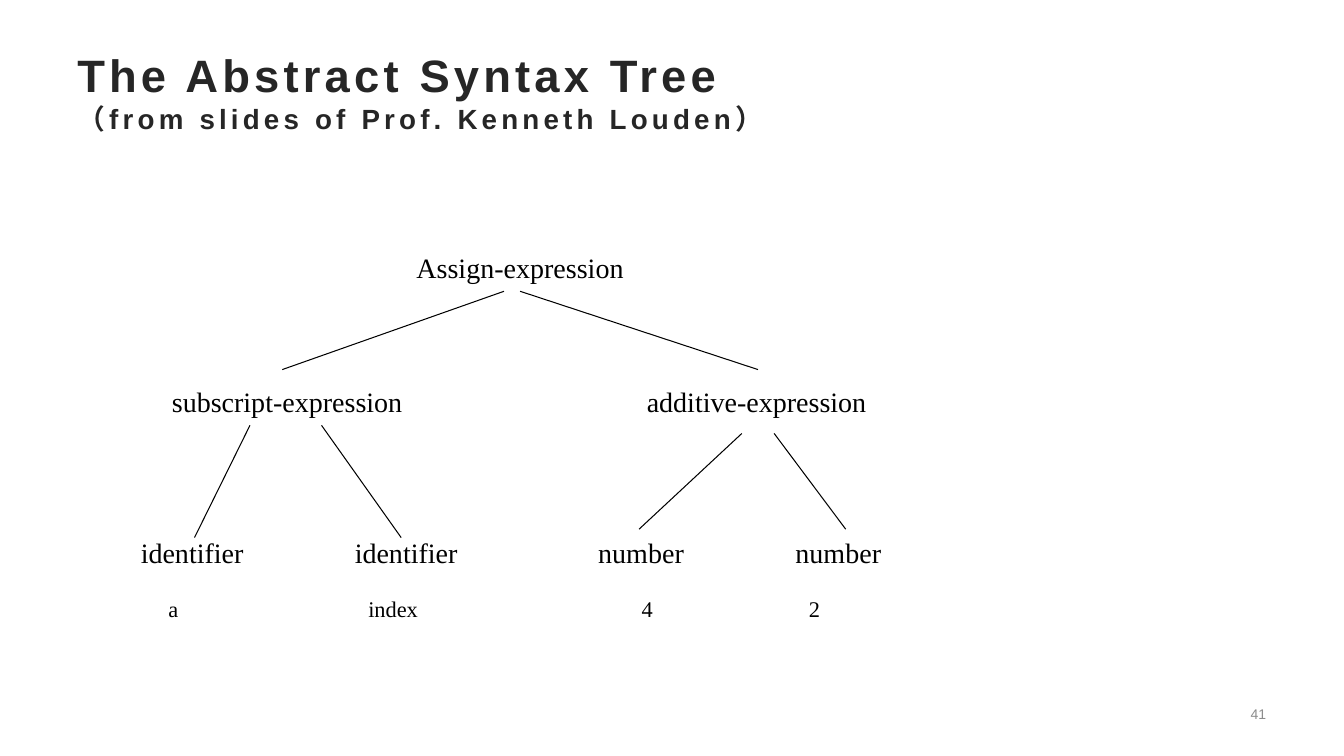
from lxml.etree import SubElement
from pptx import Presentation
from pptx.dml.color import RGBColor
from pptx.enum.shapes import MSO_CONNECTOR, MSO_SHAPE
from pptx.enum.text import MSO_ANCHOR, MSO_AUTO_SIZE, PP_ALIGN
from pptx.oxml.ns import qn
from pptx.util import Inches, Pt

WHITE = RGBColor(0xFF, 0xFF, 0xFF)
BLACK = RGBColor(0x00, 0x00, 0x00)
CHARCOAL = RGBColor(0x26, 0x26, 0x26)
GRAY = RGBColor(0x8C, 0x8C, 0x8C)

COLUMNS, ROWS = 40, 22.5
TREE_LEFT, TREE_WIDTH = 3.9, 23.16

LEVELS = [
    (7, 1.9, 20, [(11.58, "Assign-expression")]),
    (11, 1.9, 20, [(4.65, "subscript-expression"), (18.62, "additive-expression")]),
    (15.5, 1.9, 20, [(1.82, "identifier"), (8.19, "identifier"), (15.18, "number"), (21.05, "number")]),
    (17.64, 0.96, 16, [(1.26, "a"), (7.8, "index"), (15.36, "4"), (20.34, "2")]),
]

BRANCHES = [
    (15, 8.67, 8.4, 11),
    (15.48, 8.67, 22.56, 11),
    (7.44, 12.66, 5.79, 16),
    (9.57, 12.66, 11.94, 16),
    (22.08, 12.9, 19.02, 15.75),
    (23.04, 12.9, 25.17, 15.75),
]


class TreeSlide:
    heading = {"name": "Arial", "bold": True}
    label = {"name": "Times New Roman"}
    footer = {"name": "Arial"}
    frame = {"vertical_anchor": MSO_ANCHOR.MIDDLE, "word_wrap": True, "auto_size": MSO_AUTO_SIZE.NONE}
    flush = {"margin_left": 0, "margin_right": 0, "margin_top": 0, "margin_bottom": 0}

    def __init__(self, deck):
        self.column = deck.slide_width / COLUMNS
        self.row = deck.slide_height / ROWS
        self.slide = deck.slides.add_slide(deck.slide_layouts[5])

    def x(self, columns):
        return round(columns * self.column)

    def y(self, rows):
        return round(rows * self.row)

    def box(self, left, top, width, height):
        return self.x(left), self.y(top), self.x(width), self.y(height)

    def apply(self, target, *styles):
        for style in styles:
            for attribute, value in style.items():
                setattr(target, attribute, value)

    def add_words(self, paragraph, text, style, size, color):
        run = paragraph.add_run()
        run.text = text
        self.apply(run.font, style, {"size": Pt(size)})
        run.font.color.rgb = color
        return run

    def title(self, box, lines):
        heading = self.slide.shapes.title
        self.apply(heading, dict(zip(("left", "top", "width", "height"), self.box(*box))))
        self.apply(heading.text_frame, self.frame)
        paragraph = heading.text_frame.paragraphs[0]
        self.apply(paragraph, {"alignment": PP_ALIGN.LEFT, "line_spacing": 1.0})
        for index, (text, size) in enumerate(lines):
            if index:
                paragraph.add_line_break()
            run = self.add_words(paragraph, text, self.heading, size, CHARCOAL)
            run.font._element.set("spc", "300")

    def level(self, top, height, size, nodes):
        band = self.slide.shapes.add_shape(
            MSO_SHAPE.RECTANGLE, *self.box(TREE_LEFT, top, TREE_WIDTH, height))
        band.shadow.inherit = False
        band.fill.solid()
        band.fill.fore_color.rgb = WHITE
        band.line.color.rgb = WHITE
        band.line.width = Pt(0.75)
        self.apply(band.text_frame, self.frame, self.flush)
        paragraph = band.text_frame.paragraphs[0]
        paragraph.alignment = PP_ALIGN.LEFT
        stops = SubElement(paragraph._p.get_or_add_pPr(), qn("a:tabLst"))
        for center, _ in nodes:
            SubElement(stops, qn("a:tab"), pos=str(self.x(center)), algn="ctr")
        text = "".join("\t" + name for _, name in nodes)
        self.add_words(paragraph, text, self.label, size, BLACK)

    def branch(self, start_x, start_y, end_x, end_y):
        edge = self.slide.shapes.add_connector(
            MSO_CONNECTOR.STRAIGHT, self.x(start_x), self.y(start_y), self.x(end_x), self.y(end_y))
        edge.line.color.rgb = BLACK
        edge.line.width = Pt(0.75)
        SubElement(edge._element.spPr, qn("a:effectLst"))

    def page_number(self, box, text):
        number = self.slide.shapes.add_textbox(*self.box(*box))
        self.apply(number.text_frame, self.frame)
        paragraph = number.text_frame.paragraphs[0]
        paragraph.alignment = PP_ALIGN.RIGHT
        self.add_words(paragraph, text, self.footer, 10, GRAY)


def main():
    deck = Presentation()
    deck.slide_width, deck.slide_height = Inches(13.33), Inches(7.5)
    tree = TreeSlide(deck)
    tree.title((2, 1.56, 36, 2.31), [
        ("The Abstract Syntax Tree", 32.4),
        ("（from slides of Prof. Kenneth Louden）", 19.8),
    ])
    for level in LEVELS:
        tree.level(*level)
    for branch in BRANCHES:
        tree.branch(*branch)
    tree.page_number((29.13, 20.73, 8.85, 1.05), "41")
    deck.save("out.pptx")


if __name__ == "__main__":
    main()
